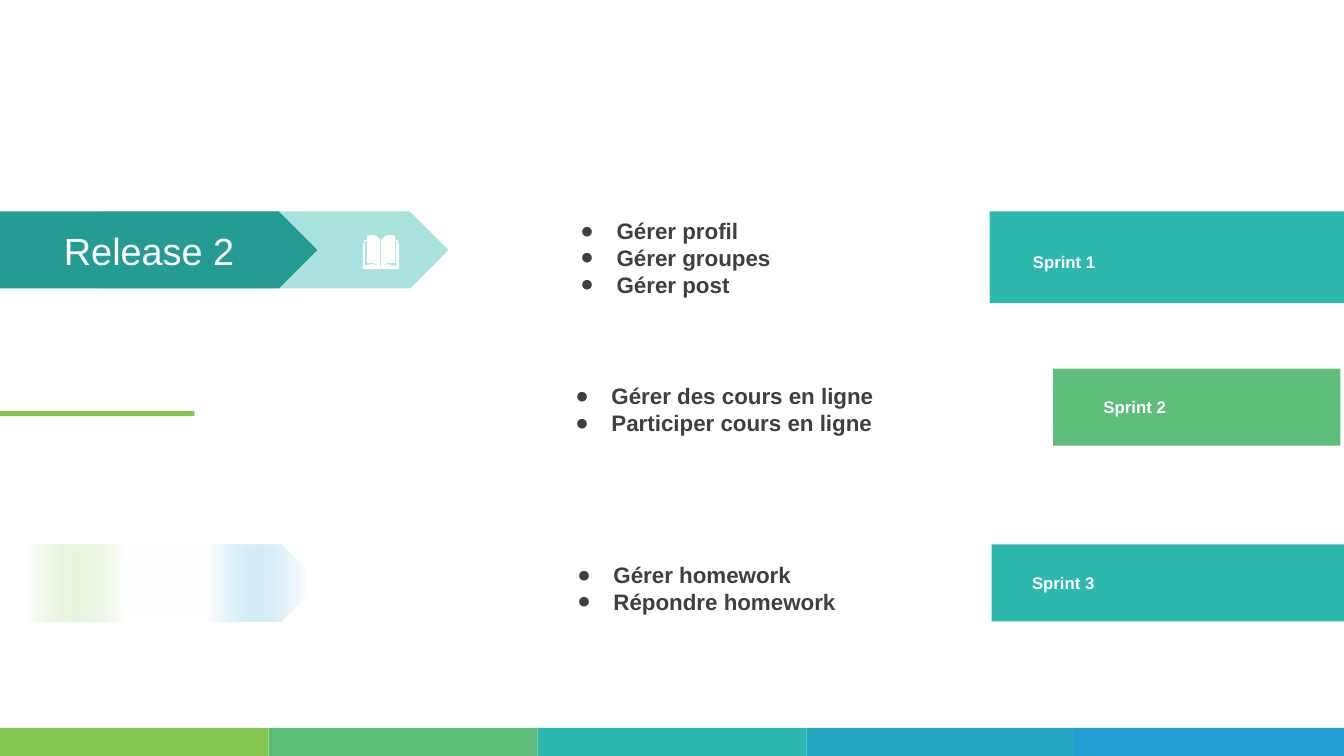
import lxml.etree
import pptx
import pptx.dml.color
import pptx.enum.shapes
import pptx.enum.text
import pptx.oxml.ns
import pptx.util

Cm = pptx.util.Cm
Pt = pptx.util.Pt
RECTANGLE = pptx.enum.shapes.MSO_SHAPE.RECTANGLE
ARROW = pptx.enum.shapes.MSO_SHAPE.PENTAGON
ALIGN = pptx.enum.text.PP_ALIGN
qn = pptx.oxml.ns.qn

COLORS = {
    "lime": "82C650", "green": "5CBE7A", "teal": "2CB8AE", "dark_teal": "259C93",
    "cyan": "24A8C2", "blue": "249ED2", "white": "FFFFFF", "text": "3F3F3F",
}
WIDTH, HEIGHT = 33.87, 19.05
BAND_HEIGHT = 1.94
BOOK_UNIT = Cm(0.0254)
BOOK_OUTLINE = [
    (377, 264), (378, 264.5), (385, 262.5), (393, 264), (393, 239), (392, 239),
    (392, 261), (385, 261), (378, 264), (378, 238), (382, 234.5), (387, 233),
    (392, 234), (392, 238), (395, 238), (395, 242), (396, 242), (396, 267),
    (360, 267), (360, 242), (361, 242), (361, 238), (364, 238), (364, 234),
    (369, 233), (374, 234.5), (377, 238), (377, 264), (371, 261), (364, 261),
    (364, 239), (362, 239), (362, 263), (370, 262.5),
]
FADE = [(0, "lime", 0), (8, "lime", 0), (39, "white", 75),
        (65, "white", 75), (96, "blue", 0), (100, "blue", 0)]


class SlideBuilder:
    font = "Arial"

    def __init__(self, page):
        self.page = page

    def color(self, name):
        return pptx.dml.color.RGBColor.from_string(COLORS[name])

    def paint(self, shape, fill, alpha=None):
        shape.shadow.inherit = False
        shape.line.fill.background()
        shape.fill.solid()
        shape.fill.fore_color.rgb = self.color(fill)
        if alpha is not None:
            tint = shape.fill._xPr.find(qn("a:solidFill"))[0]
            lxml.etree.SubElement(tint, qn("a:alpha"), val=str(alpha * 1000))
        return shape

    def block(self, kind, left, top, width, height, fill, alpha=None):
        shape = self.page.shapes.add_shape(kind, Cm(left), Cm(top), Cm(width), Cm(height))
        return self.paint(shape, fill, alpha)

    def fade(self, shape, stops):
        shape.fill.gradient()
        shape.fill.gradient_angle = 0
        stop_list = shape.fill._xPr.find(qn("a:gradFill")).find(qn("a:gsLst"))
        for stop in list(stop_list):
            stop_list.remove(stop)
        for position, name, alpha in stops:
            stop = lxml.etree.SubElement(stop_list, qn("a:gs"), pos=str(position * 1000))
            tint = lxml.etree.SubElement(stop, qn("a:srgbClr"), val=COLORS[name])
            lxml.etree.SubElement(tint, qn("a:alpha"), val=str(alpha * 1000))

    def outline(self, points, unit, fill):
        builder = self.page.shapes.build_freeform(*points[0], scale=unit)
        builder.add_line_segments(points[1:], close=True)
        return self.paint(builder.convert_to_shape(), fill)

    def add_words(self, para, words, size, color, bold=False):
        span = para.add_run()
        span.text = words
        span.font.name = self.font
        span.font.size = Pt(size)
        span.font.bold = bold
        span.font.color.rgb = self.color(color)

    def text_box(self, left, top, width, height):
        box = self.page.shapes.add_textbox(Cm(left), Cm(top), Cm(width), Cm(height))
        frame = box.text_frame
        frame.word_wrap = True
        frame.vertical_anchor = pptx.enum.text.MSO_ANCHOR.MIDDLE
        return frame

    def label(self, left, top, width, words, spacing=None):
        para = self.text_box(left, top, width, 0.76).paragraphs[0]
        para.line_spacing = spacing
        self.add_words(para, words, 12, "white", True)

    def bullets(self, left, top, height, indent, items, align=None):
        frame = self.text_box(left, top, 12.57, height)
        for index, item in enumerate(items):
            para = frame.add_paragraph() if index else frame.paragraphs[0]
            para.alignment = align
            settings = para._p.get_or_add_pPr()
            settings.set("marL", str(Cm(indent)))
            settings.set("indent", str(Cm(-0.91)))
            tint = lxml.etree.SubElement(settings, qn("a:buClr"))
            lxml.etree.SubElement(tint, qn("a:srgbClr"), val=COLORS["text"])
            lxml.etree.SubElement(settings, qn("a:buFont"), typeface=self.font)
            lxml.etree.SubElement(settings, qn("a:buChar"), char="●")
            self.add_words(para, item, 16, "text", True)


def main():
    deck = pptx.Presentation()
    deck.slide_width, deck.slide_height = Cm(WIDTH), Cm(HEIGHT)
    slide = SlideBuilder(deck.slides.add_slide(deck.slide_layouts[6]))

    footer = ["lime", "green", "teal", "cyan", "blue"]
    step = WIDTH / len(footer)
    for index, name in enumerate(footer):
        slide.block(RECTANGLE, index * step, 18.34, step, 0.71, name)
    slide.block(RECTANGLE, 0, 10.36, 4.9, 0.13, "lime")

    slide.block(ARROW, 2.54, 5.33, 8.76, BAND_HEIGHT, "teal", 40)
    release = slide.block(ARROW, 0, 5.33, 8, BAND_HEIGHT, "dark_teal")
    release.text_frame.vertical_anchor = pptx.enum.text.MSO_ANCHOR.MIDDLE
    title = release.text_frame.paragraphs[0]
    title.alignment = ALIGN.CENTER
    slide.add_words(title, "Release 2", 27, "white")
    slide.outline(BOOK_OUTLINE, BOOK_UNIT, "white")
    slide.fade(slide.block(ARROW, 0.05, 13.72, 8, BAND_HEIGHT, "white"), FADE)

    slide.bullets(12.04, 5.33, 2.31, 3.25, ["Gérer profil", "Gérer groupes", "Gérer post"])
    slide.bullets(11.66, 9.5, 1.63, 3.5,
                  ["Gérer des cours en ligne", "Participer cours en ligne"])
    slide.bullets(11.71, 14, 1.63, 3.5, ["Gérer homework", "Répondre homework"], ALIGN.JUSTIFY)

    slide.block(RECTANGLE, 24.94, 5.33, 8.93, 2.31, "teal")
    slide.label(25.78, 6.1, 3.68, "Sprint 1", 1.5)
    slide.block(RECTANGLE, 26.54, 9.29, 7.24, BAND_HEIGHT, "green")
    slide.label(27.56, 9.88, 2.95, "Sprint 2")
    slide.block(RECTANGLE, 24.99, 13.72, 8.88, BAND_HEIGHT, "teal")
    slide.label(25.76, 14.3, 3.68, "Sprint 3")

    deck.save("out.pptx")


if __name__ == "__main__":
    main()
